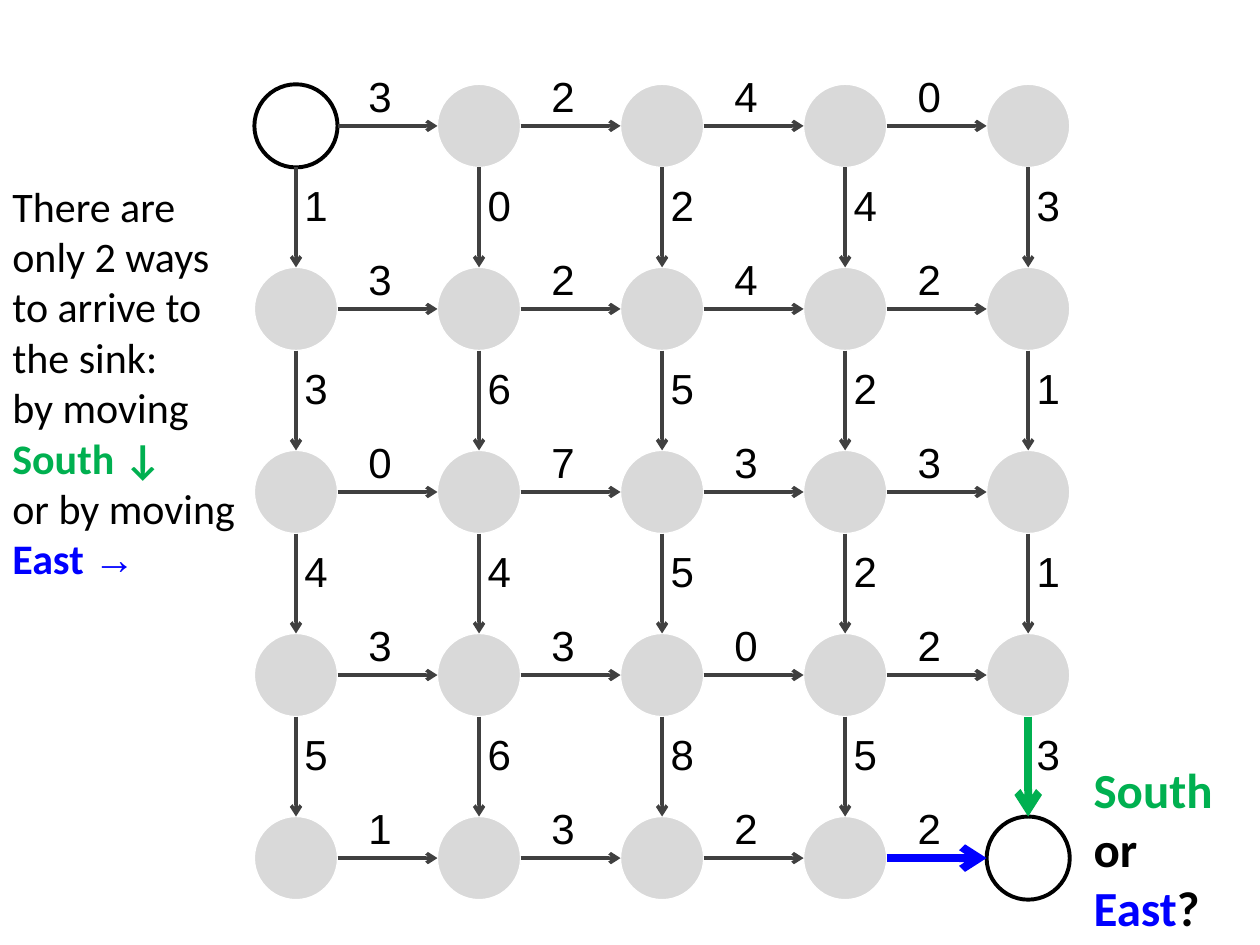
from itertools import product

from lxml.etree import SubElement
from pptx import Presentation
from pptx.dml.color import RGBColor
from pptx.enum.shapes import MSO_CONNECTOR, MSO_SHAPE
from pptx.enum.text import MSO_AUTO_SIZE
from pptx.oxml.ns import qn
from pptx.util import Pt

BLACK = RGBColor(0x00, 0x00, 0x00)
WHITE = RGBColor(0xFF, 0xFF, 0xFF)
GREY = RGBColor(0xD9, 0xD9, 0xD9)
DARK = RGBColor(0x40, 0x40, 0x40)
GREEN = RGBColor(0x00, 0xB0, 0x50)
BLUE = RGBColor(0x00, 0x00, 0xFF)

SIZE = 5
LEFT, TOP = 145.4, 48.2
STEP, DIAM = 104.6, 47.5
ENDS = [(0, 0), (SIZE - 1, SIZE - 1)]

# Edge weights, one string per row of the grid
EAST = ["3240", "3242", "0733", "3302", "1322"]
SOUTH = ["10243", "36521", "44521", "56853"]


class Canvas:
    font = "Calibri"

    def __init__(self, slide):
        self.shapes = slide.shapes

    def node(self, x, y, is_end):
        """Draw a grid node; the source and the sink are outlined."""
        dot = self.shapes.add_shape(
            MSO_SHAPE.OVAL, Pt(x), Pt(y), Pt(DIAM), Pt(DIAM))
        dot.shadow.inherit = False
        dot.fill.solid()
        dot.fill.fore_color.rgb = WHITE if is_end else GREY
        dot.line.color.rgb = BLACK if is_end else WHITE
        dot.line.width = Pt(2.25 if is_end else 0.75)
        if is_end:
            color = dot.fill._xPr.find(".//" + qn("a:srgbClr"))
            SubElement(color, qn("a:alpha"), val="75000")

    def arrow(self, x1, y1, x2, y2, color=DARK, width=2):
        edge = self.shapes.add_connector(
            MSO_CONNECTOR.STRAIGHT, Pt(x1), Pt(y1), Pt(x2), Pt(y2))
        edge.line.color.rgb = color
        edge.line.width = Pt(width)
        SubElement(edge.line._get_or_add_ln(), qn("a:tailEnd"), type="arrow")
        SubElement(edge._element.spPr, qn("a:effectLst"))

    def text(self, x, y, width, height, paras, size):
        """Add a box; each paragraph lists (text, color, bold, font) runs."""
        box = self.shapes.add_textbox(Pt(x), Pt(y), Pt(width), Pt(height))
        frame = box.text_frame
        frame.word_wrap = True
        frame.auto_size = MSO_AUTO_SIZE.SHAPE_TO_FIT_TEXT
        for i, runs in enumerate(paras):
            para = frame.add_paragraph() if i else frame.paragraphs[0]
            for words, color, bold, font in runs:
                run = para.add_run()
                run.text = words
                run.font.size = Pt(size)
                run.font.name = font
                run.font.bold = bold
                run.font.color.rgb = color

    def weight(self, x, y, digit):
        self.text(x, y, 18.8, 36, [[(digit, BLACK, False, "Arial")]], 24)


def spot(row, col):
    return LEFT + col * STEP, TOP + row * STEP


def draw_grid(canvas):
    for row, col in product(range(SIZE), repeat=2):
        canvas.node(*spot(row, col), (row, col) in ENDS)

    last = SIZE - 1
    for row, col in product(range(SIZE), range(last)):
        x, y = spot(row, col)
        mid = y + DIAM / 2
        style = (BLUE, 4.5) if (row, col) == (last, last - 1) else ()
        canvas.arrow(x + DIAM, mid, x + STEP, mid, *style)
        canvas.weight(x + 58, y - 11.5, EAST[row][col])

    for row, col in product(range(last), range(SIZE)):
        x, y = spot(row, col)
        mid = x + DIAM / 2
        style = (GREEN, 4.5) if (row, col) == (last - 1, last) else ()
        canvas.arrow(mid, y + DIAM, mid, y + STEP, *style)
        canvas.weight(x + 21.5, y + 51, SOUTH[row][col])


def main():
    deck = Presentation()
    deck.slide_width, deck.slide_height = Pt(720), Pt(540)
    canvas = Canvas(deck.slides.add_slide(deck.slide_layouts[6]))
    draw_grid(canvas)

    font = canvas.font
    canvas.text(617.8, 430.6, 102.2, 108.7, [[
        ("South ", GREEN, True, font),
        ("or ", BLACK, True, font),
        ("East", BLUE, True, font),
        ("?", BLACK, True, font),
    ]], 28)
    canvas.text(0, 99.4, 146.2, 239.8, [
        [("There are only 2 ways to arrive to the sink:",
          BLACK, False, font)],
        [("by moving ", BLACK, False, font),
         ("South ↓", GREEN, True, font)],
        [("or by moving ", BLACK, False, font),
         ("East ", BLUE, True, font),
         ("→", BLUE, True, "Arial")],
    ], 24)
    deck.save("out.pptx")


if __name__ == "__main__":
    main()
